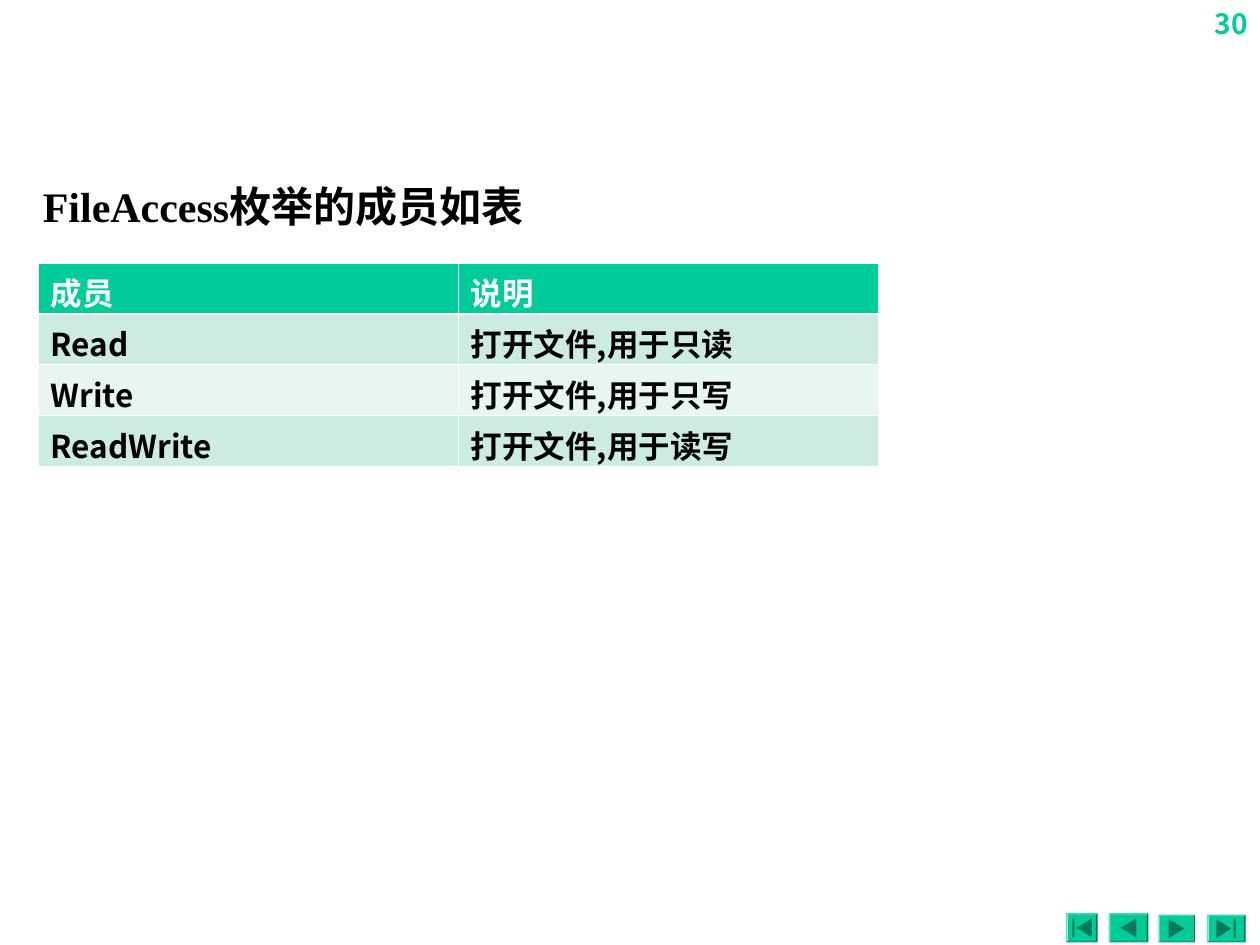
from dataclasses import dataclass

from lxml.etree import SubElement
from pptx import Presentation
from pptx.dml.color import RGBColor as Color
from pptx.enum.shapes import MSO_SHAPE as Shape
from pptx.enum.text import MSO_ANCHOR as Anchor, MSO_AUTO_SIZE as AutoSize, PP_ALIGN as Align
from pptx.oxml.ns import qn
from pptx.util import Cm, Pt


@dataclass(frozen=True)
class Theme:
    accent: str = "00CC99"
    icon: str = "007A5C"
    band_dark: str = "CBECDE"
    band_light: str = "E7F6EF"
    white: str = "FFFFFF"
    black: str = "000000"
    latin: str = "Times New Roman"
    chinese: str = "Noto Sans CJK SC"
    number_font: str = "Noto Sans CJK KR"
    title_size: int = 24
    table_size: int = 18
    number_size: int = 16
    grid_line: float = 0.45
    header_line: float = 1.47


class SlideBuilder:
    def __init__(self, slide, theme):
        self.slide = slide
        self.theme = theme

    def style(self, paragraph, text, size, color, latin, align=Align.LEFT):
        paragraph.text = text
        paragraph.alignment = align
        font = paragraph.font
        font.name, font.size, font.bold = latin, Pt(size), True
        font.color.rgb = Color.from_string(color)
        properties = paragraph._p.pPr.find(qn("a:defRPr"))
        SubElement(properties, qn("a:ea")).set("typeface", self.theme.chinese)

    def place(self, shape, left, top, width, height):
        shape.left, shape.top = Cm(left), Cm(top)
        shape.width, shape.height = Cm(width), Cm(height)

    def title(self, text, *box):
        shape = self.slide.shapes.title
        self.place(shape, *box)
        frame = shape.text_frame
        frame.auto_size = AutoSize.NONE
        frame.vertical_anchor = Anchor.TOP
        self.style(frame.paragraphs[0], text, self.theme.title_size,
                   self.theme.black, self.theme.latin)

    def page_number(self, text, *box):
        shape = self.slide.shapes.add_textbox(*map(Cm, box))
        shape.text_frame.word_wrap = True
        self.style(shape.text_frame.paragraphs[0], text, self.theme.number_size,
                   self.theme.accent, self.theme.number_font, Align.RIGHT)

    def border(self, cell, side, width):
        line = SubElement(cell._tc.get_or_add_tcPr(), qn(f"a:{side}"), w=str(Pt(width)))
        fill = SubElement(line, qn("a:solidFill"))
        SubElement(fill, qn("a:srgbClr"), val=self.theme.white)

    def table(self, rows, *box):
        theme = self.theme
        table = self.slide.shapes.add_table(len(rows), len(rows[0]), *map(Cm, box)).table
        for row_index, values in enumerate(rows):
            header = row_index == 0
            band = theme.band_dark if row_index % 2 else theme.band_light
            widths = {
                "lnL": theme.grid_line,
                "lnR": theme.grid_line,
                "lnT": theme.header_line if row_index == 1 else theme.grid_line,
                "lnB": theme.header_line if header else theme.grid_line,
            }
            for column_index, text in enumerate(values):
                cell = table.cell(row_index, column_index)
                cell.margin_bottom = 0
                for side, width in widths.items():
                    self.border(cell, side, width)
                cell.fill.solid()
                cell.fill.fore_color.rgb = Color.from_string(theme.accent if header else band)
                self.style(cell.text_frame.paragraphs[0], text, theme.table_size,
                           theme.white if header else theme.black, theme.chinese)

    def paint(self, shape, color):
        shape.shadow.inherit = False
        shape.fill.solid()
        shape.fill.fore_color.rgb = Color.from_string(color)
        shape.line.fill.background()

    def button(self, left, top, width, height, forward, to_end):
        bevel = self.slide.shapes.add_shape(Shape.BEVEL, *map(Cm, (left, top, width, height)))
        bevel.adjustments[0] = 0.06
        self.paint(bevel, self.theme.accent)

        direction = 1 if forward else -1
        center_x, center_y = left + width / 2, top + height / 2
        half_width, half_height = (0.18 if to_end else 0.19), 0.19
        shift = -0.05 if to_end else 0

        def point(across, down):
            return Cm(center_x + direction * across), Cm(center_y + down)

        back, tip = shift - half_width + 0.03, shift + half_width - 0.03
        builder = self.slide.shapes.build_freeform(*point(back, -half_height))
        builder.add_line_segments([point(tip, 0), point(back, half_height)])
        if to_end:
            near, far = 0.15, 0.19
            builder.move_to(*point(near, -half_height))
            builder.add_line_segments([point(far, -half_height), point(far, half_height),
                                       point(near, half_height)])
        self.paint(builder.convert_to_shape(), self.theme.icon)


def main():
    presentation = Presentation()
    presentation.slide_width, presentation.slide_height = Cm(25.4), Cm(19.05)
    slide = presentation.slides.add_slide(presentation.slide_layouts[5])
    builder = SlideBuilder(slide, Theme())

    builder.page_number("30", 23.75, 0, 1.65, 1.02)
    buttons = [
        (21.49, 18.41, 0.64, 0.59, False, True),
        (22.35, 18.41, 0.8, 0.59, False, False),
        (23.35, 18.44, 0.74, 0.56, True, False),
        (24.33, 18.44, 0.78, 0.56, True, True),
    ]
    for button in buttons:
        builder.button(*button)

    builder.title("FileAccess枚举的成员如表", 0.61, 3.51, 22.86, 1.27)
    rows = [
        ("成员", "说明"),
        ("Read", "打开文件,用于只读"),
        ("Write", "打开文件,用于只写"),
        ("ReadWrite", "打开文件,用于读写"),
    ]
    builder.table(rows, 0.77, 5.3, 16.94, 4.11)
    presentation.save("out.pptx")


if __name__ == "__main__":
    main()
